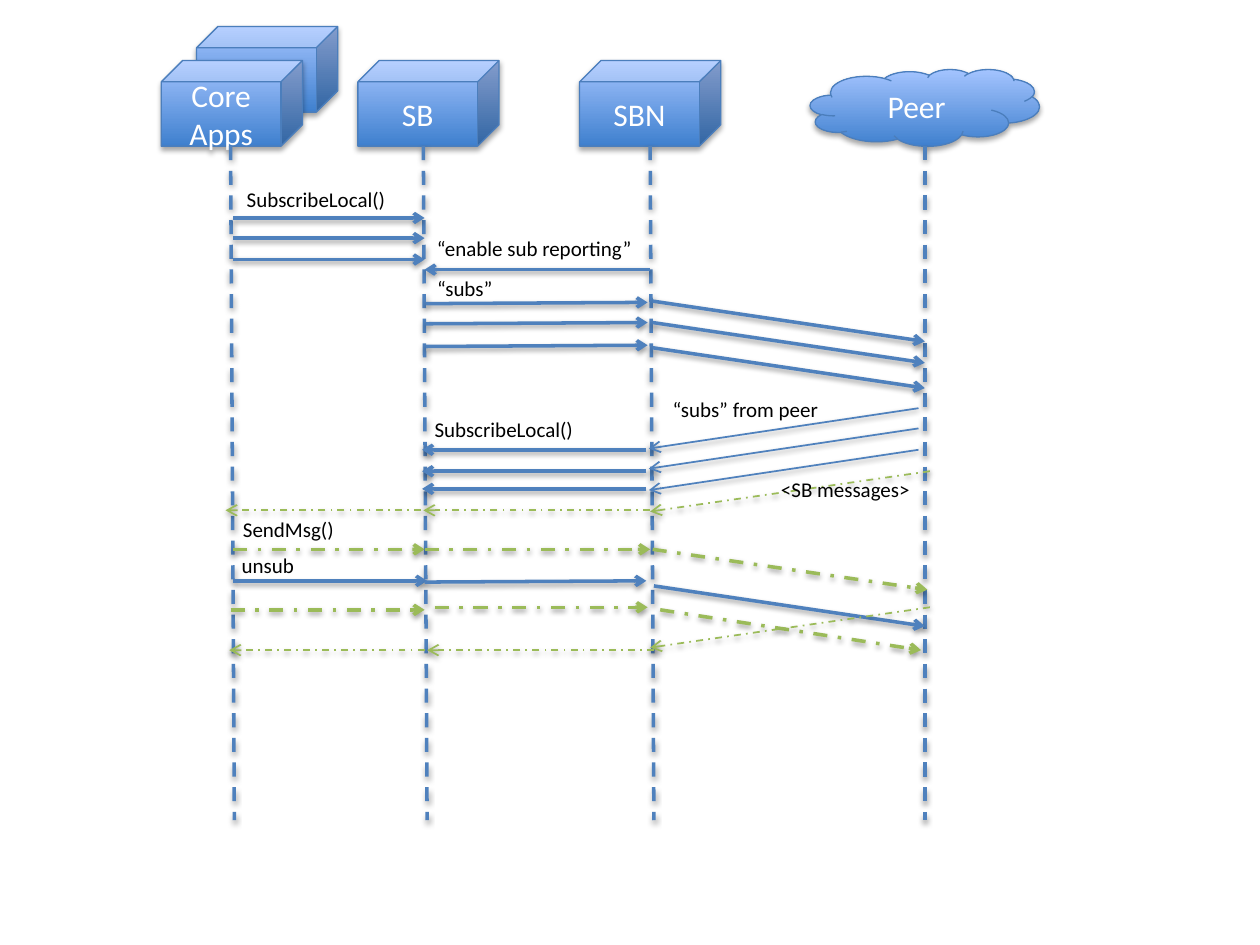
from dataclasses import dataclass

from lxml import etree
from pptx import Presentation
from pptx.dml.color import RGBColor
from pptx.enum.dml import MSO_LINE
from pptx.enum.shapes import MSO_CONNECTOR, MSO_SHAPE
from pptx.enum.text import MSO_ANCHOR, MSO_AUTO_SIZE, PP_ALIGN
from pptx.oxml.ns import qn
from pptx.util import Inches, Pt

CUBE, CLOUD = MSO_SHAPE.CUBE, MSO_SHAPE.CLOUD
STRAIGHT = MSO_CONNECTOR.STRAIGHT
DASH, DASH_DOT = MSO_LINE.DASH, MSO_LINE.DASH_DOT
CENTER, LEFT = PP_ALIGN.CENTER, PP_ALIGN.LEFT
MIDDLE, TOP = MSO_ANCHOR.MIDDLE, MSO_ANCHOR.TOP
FIT_SHAPE = MSO_AUTO_SIZE.SHAPE_TO_FIT_TEXT

COLORS = {"blue": "4F81BD", "green": "9BBB59", "edge": "4B7EBC", "low": "3F80CE",
          "high": "A4C4FF", "white": "FFFFFF", "black": "000000"}
FONT = "Calibri"

# Lifeline columns and vertical extent, in inches
APPS, SB, SBN, PEER = 1.85, 3.37, 5.16, 7.34
LIFE_TOP, LIFE_BOTTOM = 1.16, 6.51
LEAN = 0.03
PEER_DROP = 0.32
CUBE_SIZE = (1.12, 0.68)


@dataclass(frozen=True)
class Participant:
    name: str
    left: float
    top: float
    size: tuple[float, float] = CUBE_SIZE
    outline: int = CUBE


@dataclass(frozen=True)
class Style:
    color: str
    width: float
    dash: int | None = None


@dataclass(frozen=True)
class Message:
    source: float
    target: float
    y: float
    style: Style
    drop: float = 0


@dataclass(frozen=True)
class Caption:
    text: str
    left: float
    top: float
    width: float


LIFELINE = Style("blue", 2, DASH)
CONTROL = Style("blue", 2)
FROM_PEER = Style("blue", 1)
DATA_OUT = Style("green", 2, DASH_DOT)
DATA_IN = Style("green", 1, DASH_DOT)

PARTICIPANTS = [
    Participant("", 1.56, 0.21),
    Participant("Peer", 6.43, 0.55, (1.82, 0.61), CLOUD),
    Participant("SBN", 4.6, 0.48),
    Participant("SB", 2.84, 0.48),
    Participant("Core Apps", 1.28, 0.48),
]

LIFELINES = [(SBN, LEAN), (PEER, 0), (SB - 0.01, LEAN), (APPS - 0.02, LEAN)]

MESSAGES = [
    # Local subscriptions
    *(Message(APPS, SB, y, CONTROL) for y in (1.73, 1.89, 2.06)),
    Message(SBN, SB, 2.14, CONTROL),
    # Subscriptions forwarded to the peer
    *(Message(SB + 0.01, SBN - 0.02, y, CONTROL, -0.01) for y in (2.41, 2.57, 2.75)),
    *(Message(SBN + 0.02, PEER, y, CONTROL, PEER_DROP) for y in (2.39, 2.56, 2.76)),
    # Subscriptions received from the peer
    *(Message(PEER - 0.05, SBN - 0.01, y, FROM_PEER, PEER_DROP) for y in (3.24, 3.4, 3.57)),
    *(Message(SBN - 0.03, SB - 0.02, y, CONTROL) for y in (3.57, 3.74, 3.88)),
    # Messages sent before and after the unsubscription
    Message(APPS, SB, 4.36, DATA_OUT),
    Message(SB, SBN, 4.36, DATA_OUT),
    Message(SBN + 0.02, PEER + 0.02, 4.36, DATA_OUT, PEER_DROP),
    Message(APPS - 0.02, SB, 4.84, DATA_OUT),
    Message(SB + 0.08, SBN - 0.02, 4.82, DATA_OUT),
    Message(SBN + 0.08, PEER - 0.03, 4.84, DATA_OUT, PEER_DROP),
    # Unsubscription
    Message(APPS, SB + 0.02, 4.61, CONTROL),
    Message(SB, SBN - 0.03, 4.62, CONTROL, -0.01),
    Message(SBN + 0.03, PEER, 4.65, CONTROL, PEER_DROP),
    # Messages received from the peer
    *(Message(PEER + 0.04, SBN, y, DATA_IN, PEER_DROP) for y in (3.74, 4.82)),
    Message(SBN, SB - 0.01, 4.05, DATA_IN),
    Message(SB - 0.03, APPS - 0.06, 4.05, DATA_IN),
    Message(SBN + 0.03, SB + 0.02, 5.16, DATA_IN),
    Message(SB, APPS - 0.03, 5.16, DATA_IN),
]

CAPTIONS = [
    Caption("SubscribeLocal()", 1.86, 1.43, 1.31),
    Caption("“enable sub reporting”", 3.37, 1.82, 1.83),
    Caption("“subs”", 3.37, 2.14, 0.65),
    Caption("“subs” from peer", 5.24, 3.1, 1.38),
    Caption("SubscribeLocal()", 3.35, 3.26, 1.31),
    Caption("<SB messages>", 6.1, 3.73, 1.24),
    Caption("SendMsg()", 1.83, 4.05, 0.93),
    Caption("unsub", 1.82, 4.34, 0.62),
]


def rgb(name: str) -> RGBColor:
    return RGBColor.from_string(COLORS[name])


def add_shadow(item, opacity: int, distance: float) -> None:
    effects = etree.SubElement(item._element.spPr, qn("a:effectLst"))
    shadow = etree.SubElement(effects, qn("a:outerShdw"), blurRad=str(Pt(3.1)),
                              dist=str(Pt(distance)), dir="5400000", rotWithShape="0")
    color = etree.SubElement(shadow, qn("a:srgbClr"), val=COLORS["black"])
    etree.SubElement(color, qn("a:alpha"), val=str(opacity * 1000))


def write_text(frame, text: str, *, size: float, color: str, align=LEFT,
               anchor=TOP, wrap: bool = False) -> None:
    frame.word_wrap = wrap
    frame.vertical_anchor = anchor
    paragraph = frame.paragraphs[0]
    paragraph.alignment = align
    run = paragraph.add_run()
    run.text = text
    run.font.name = FONT
    run.font.size = Pt(size)
    run.font.color.rgb = rgb(color)


def add_participant(slide, who: Participant) -> None:
    head = slide.shapes.add_shape(who.outline, *map(Inches, (who.left, who.top, *who.size)))
    head.fill.gradient()
    head.fill.gradient_angle = 90
    for stop, color, position in zip(head.fill.gradient_stops, ("low", "high"), (0, 1)):
        stop.color.rgb = rgb(color)
        stop.position = position
    head.line.color.rgb = rgb("edge")
    head.line.width = Pt(0.75)
    add_shadow(head, 35, 1.8)
    if who.name:
        write_text(head.text_frame, who.name, size=18, color="white",
                   align=CENTER, anchor=MIDDLE, wrap=True)


def add_line(slide, start: tuple[float, float], end: tuple[float, float],
             style: Style, arrow: bool = False) -> None:
    connector = slide.shapes.add_connector(STRAIGHT, *map(Inches, (*start, *end)))
    connector.line.color.rgb = rgb(style.color)
    connector.line.width = Pt(style.width)
    if style.dash is not None:
        connector.line.dash_style = style.dash
    if arrow:
        etree.SubElement(connector.line._get_or_add_ln(), qn("a:tailEnd"), type="arrow")
    add_shadow(connector, 38, 1.6)


def add_caption(slide, caption: Caption) -> None:
    box = slide.shapes.add_textbox(
        *map(Inches, (caption.left, caption.top, caption.width, 0.3)))
    write_text(box.text_frame, caption.text, size=12, color="black")
    box.text_frame.auto_size = FIT_SHAPE


deck = Presentation()
deck.slide_width, deck.slide_height = Inches(10), Inches(7.5)
sequence = deck.slides.add_slide(deck.slide_layouts[6])

for participant in PARTICIPANTS:
    add_participant(sequence, participant)
for column, lean in LIFELINES:
    add_line(sequence, (column, LIFE_TOP), (column + lean, LIFE_BOTTOM), LIFELINE)
for message in MESSAGES:
    add_line(sequence, (message.source, message.y),
             (message.target, message.y + message.drop), message.style, arrow=True)
for label in CAPTIONS:
    add_caption(sequence, label)

deck.save("out.pptx")
